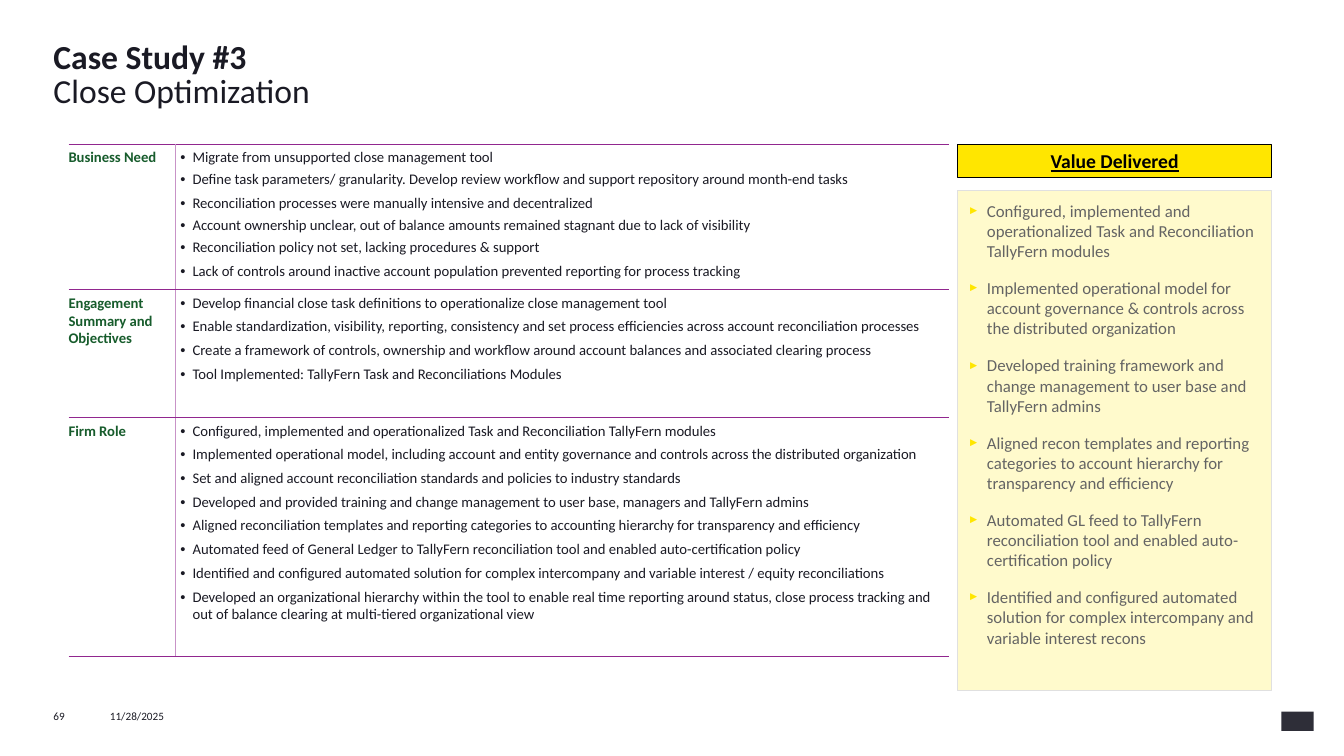
from lxml import etree
from pptx import Presentation
from pptx import util as u
from pptx.dml.color import RGBColor
from pptx.enum import shapes, text
from pptx.oxml.ns import qn

COLORS = {
    "ink": "1A1A24", "green": "175C2C", "purple": "91278F", "lilac": "C893C7", "slate": "2E2E38",
    "yellow": "FFE600", "cream": "FFFACC", "edge": "E0E0E0", "grey": "646464", "black": "000000",
}
WIDTH, HEIGHT = 13.33, 7.5
MARGIN, TOP = 0.53, 1.43
STUDY_LEFT, STUDY_COLUMNS, STUDY_ROWS = 0.68, (1.06, 7.67), (1.44, 1.27, 2.37)
VALUE_LEFT, VALUE_WIDTH = 9.5, 3.11
HEADING_HEIGHT, VALUE_TOP, VALUE_HEIGHT = 0.33, 1.89, 4.96
FOOTER_TOP, FOOTER_HEIGHT = 7.04, 0.13


def write(frame, lines, size, color, bold=(False,), underline=False, align=None, spacing=None,
          before=(0,), after=0, bullet=None, indent=0, bullet_color=None, bullet_size=100):
    for i, line in enumerate(lines):
        paragraph = frame.paragraphs[0] if i == 0 else frame.add_paragraph()
        if bullet:
            props = paragraph._p.get_or_add_pPr()
            props.set("marL", str(u.Inches(indent)))
            props.set("indent", str(-u.Inches(indent)))
            tint = etree.SubElement(props, qn("a:buClr"))
            etree.SubElement(tint, qn("a:srgbClr"), val=COLORS[bullet_color or color])
            etree.SubElement(props, qn("a:buSzPct"), val=str(bullet_size * 1000))
            etree.SubElement(props, qn("a:buFont"), typeface="Arial")
            etree.SubElement(props, qn("a:buChar"), char=bullet)
        paragraph.alignment = align
        paragraph.line_spacing = spacing
        paragraph.space_before = u.Pt(before[i % len(before)] if i else 0)
        paragraph.space_after = u.Pt(after)
        run = paragraph.add_run()
        run.text = line
        run.font.name, run.font.size = "Calibri", u.Pt(size)
        run.font.bold, run.font.underline = bold[i % len(bold)], underline
        run.font.color.rgb = RGBColor.from_string(COLORS[color])


def inset(frame, left, top, right, bottom):
    frame.margin_left, frame.margin_top = u.Inches(left), u.Inches(top)
    frame.margin_right, frame.margin_bottom = u.Inches(right), u.Inches(bottom)


deck = Presentation()
deck.slide_width, deck.slide_height = u.Inches(WIDTH), u.Inches(HEIGHT)
slide = deck.slides.add_slide(deck.slide_layouts[6])

emblem = slide.shapes.add_shape(
    shapes.MSO_SHAPE.RECTANGLE, *map(u.Inches, (12.71, 7.06, 0.32, 0.19)))
emblem.shadow.inherit = False
emblem.fill.solid()
emblem.fill.fore_color.rgb = RGBColor.from_string(COLORS["slate"])
emblem.line.fill.background()

for lines, left, top, width, height, style in (
    (("Case Study #3", "Close Optimization"), MARGIN, 0.42, 12.28, 0.7,
     dict(size=24, bold=(True, False), spacing=0.84)),
    (("69",), MARGIN, FOOTER_TOP, 0.56, FOOTER_HEIGHT, dict(size=8)),
    (("11/28/2025",), MARGIN + 0.56, FOOTER_TOP, 1.4, FOOTER_HEIGHT, dict(size=8)),
):
    frame = slide.shapes.add_textbox(*map(u.Inches, (left, top, width, height))).text_frame
    frame.word_wrap = True
    inset(frame, 0, 0, 0, 0)
    write(frame, lines, color="ink", **style)

study = (
    ("Business Need", 0.04, (0, 3, 4.8, 3, 3, 4.2), (
        "Migrate from unsupported close management tool",
        "Define task parameters/ granularity. Develop review workflow and support repository around month-end tasks",
        "Reconciliation processes were manually intensive and decentralized",
        "Account ownership unclear, out of balance amounts remained stagnant due to lack of visibility",
        "Reconciliation policy not set, lacking procedures & support",
        "Lack of controls around inactive account population prevented reporting for process tracking",
    )),
    ("Engagement Summary and Objectives", 0.05, (4.2,), (
        "Develop financial close task definitions to operationalize close management tool",
        "Enable standardization, visibility, reporting, consistency and set process efficiencies across account reconciliation processes",
        "Create a framework of controls, ownership and workflow around account balances and associated clearing process",
        "Tool Implemented: TallyFern Task and Reconciliations Modules",
    )),
    ("Firm Role", 0.05, (4.2,), (
        "Configured, implemented and operationalized Task and Reconciliation TallyFern modules",
        "Implemented operational model, including account and entity governance and controls across the distributed organization",
        "Set and aligned account reconciliation standards and policies to industry standards",
        "Developed and provided training and change management to user base, managers and TallyFern admins",
        "Aligned reconciliation templates and reporting categories to accounting hierarchy for transparency and efficiency",
        "Automated feed of General Ledger to TallyFern reconciliation tool and enabled auto-certification policy",
        "Identified and configured automated solution for complex intercompany and variable interest / equity reconciliations",
        "Developed an organizational hierarchy within the tool to enable real time reporting around status, close process tracking and out of balance clearing at multi-tiered organizational view",
    )),
)
table = slide.shapes.add_table(
    len(study), 2, u.Inches(STUDY_LEFT), u.Inches(TOP),
    u.Inches(sum(STUDY_COLUMNS)), u.Inches(sum(STUDY_ROWS))).table
table.first_row = table.horz_banding = False
for column, width in zip(table.columns, STUDY_COLUMNS):
    column.width = u.Inches(width)

for r, (topic, headroom, gaps, points) in enumerate(study):
    table.rows[r].height = u.Inches(STUDY_ROWS[r])
    topic_cell, points_cell = table.cell(r, 0), table.cell(r, 1)
    inset(topic_cell, 0, headroom, 0.03, 0.05)
    inset(points_cell, 0.05, headroom, 0.05, 0.05)
    write(topic_cell.text_frame, (topic,), size=10.5, color="green", bold=(True,))
    write(points_cell.text_frame, points, size=10.5, color="ink", before=gaps, bullet="•", indent=0.12)
    for cell, inner in ((topic_cell, "R"), (points_cell, "L")):
        props = cell._tc.get_or_add_tcPr()
        for side in "LRTB":
            upright = side in "LR"
            border = etree.SubElement(
                props, qn("a:ln" + side), w=str(u.Pt(0.75 if upright else 0.5)))
            if upright and side != inner:
                etree.SubElement(border, qn("a:noFill"))
            else:
                paint = etree.SubElement(border, qn("a:solidFill"))
                etree.SubElement(paint, qn("a:srgbClr"), val=COLORS["lilac" if upright else "purple"])
        cell.fill.background()

outcomes = (
    "Configured, implemented and operationalized Task and Reconciliation TallyFern modules",
    "Implemented operational model for account governance & controls across the distributed organization",
    "Developed training framework and change management to user base and TallyFern admins",
    "Aligned recon templates and reporting categories to account hierarchy for transparency and efficiency",
    "Automated GL feed to TallyFern reconciliation tool and enabled auto-certification policy",
    "Identified and configured automated solution for complex intercompany and variable interest recons",
)
for lines, top, height, fill, line, margins, anchor, style in (
    (outcomes, VALUE_TOP, VALUE_HEIGHT, "cream", "edge", (0.1, 0.1, 0.1, 0.05), text.MSO_ANCHOR.TOP,
     dict(size=12, color="grey", align=text.PP_ALIGN.LEFT, after=12, bullet="►", indent=0.19,
          bullet_color="yellow", bullet_size=70)),
    (("Value Delivered",), TOP, HEADING_HEIGHT, "yellow", "black", (0.05,) * 4, text.MSO_ANCHOR.MIDDLE,
     dict(size=14, color="black", bold=(True,), underline=True, align=text.PP_ALIGN.CENTER)),
):
    panel = slide.shapes.add_shape(
        shapes.MSO_SHAPE.RECTANGLE, *map(u.Inches, (VALUE_LEFT, top, VALUE_WIDTH, height)))
    panel.shadow.inherit = False
    panel.fill.solid()
    panel.fill.fore_color.rgb = RGBColor.from_string(COLORS[fill])
    panel.line.color.rgb = RGBColor.from_string(COLORS[line])
    panel.line.width = u.Pt(0.5)
    panel.text_frame.word_wrap = True
    panel.text_frame.vertical_anchor = anchor
    inset(panel.text_frame, *margins)
    write(panel.text_frame, lines, **style)

deck.save("out.pptx")
